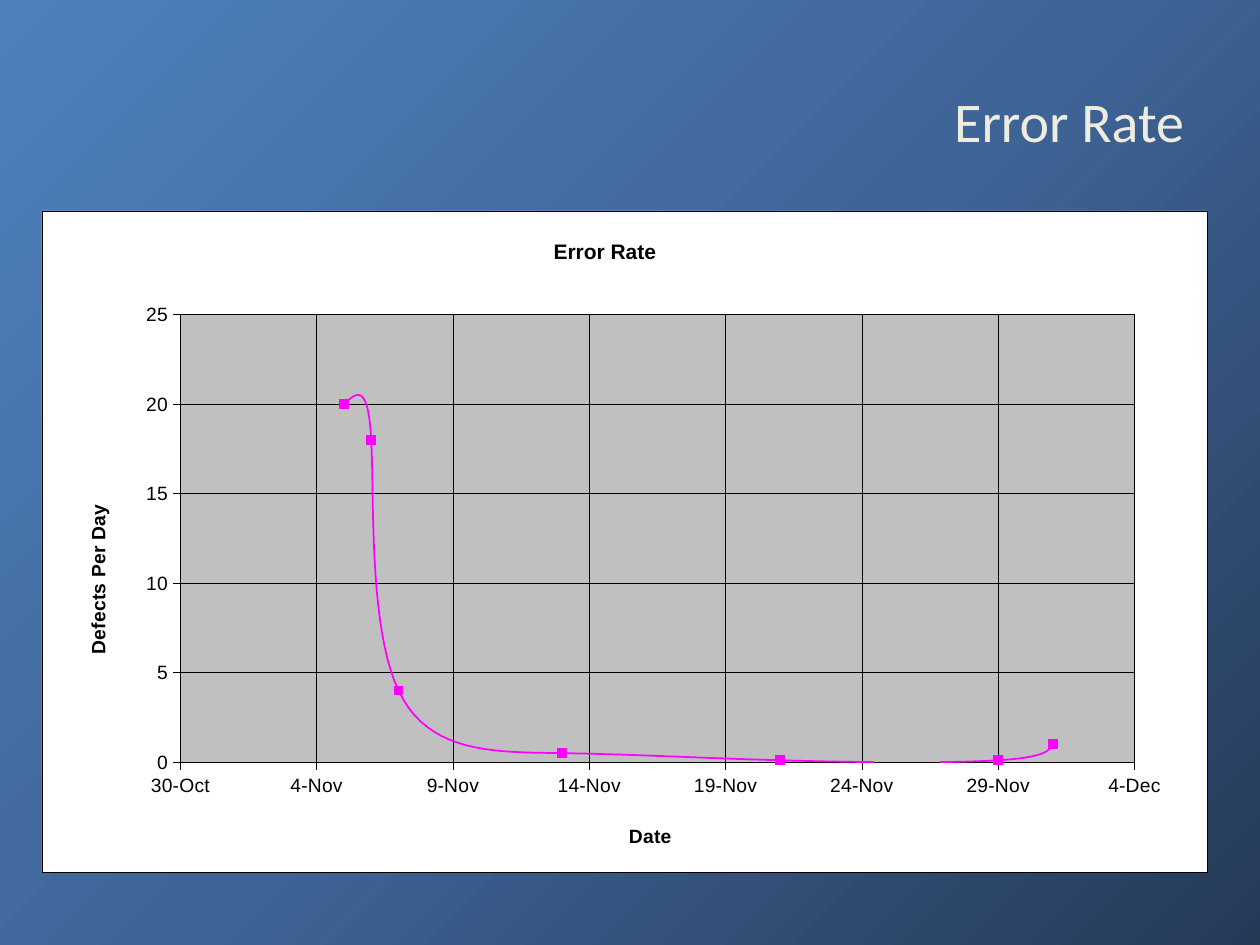
from copy import deepcopy
from dataclasses import dataclass

from lxml.etree import SubElement
from pptx import Presentation
from pptx.chart.data import XyChartData
from pptx.dml.color import RGBColor
from pptx.enum.chart import XL_CHART_TYPE as ChartType
from pptx.enum.chart import XL_MARKER_STYLE as MarkerStyle
from pptx.enum.chart import XL_TICK_LABEL_POSITION as LabelPosition
from pptx.enum.chart import XL_TICK_MARK as TickMark
from pptx.enum.text import MSO_ANCHOR as Anchor
from pptx.enum.text import PP_ALIGN as Align
from pptx.oxml import parse_xml
from pptx.oxml.ns import nsdecls, qn
from pptx.util import Inches, Pt

COLORS = {
    "title": "EEECE1",
    "ink": "000000",
    "paper": "FFFFFF",
    "plot": "C0C0C0",
    "series": "FF00FF",
}
BACKGROUND_STOPS = ((0, "4F81BD"), (0.5, "3F6598"), (1, "253A57"))
WIDTH, HEIGHT = Inches(10), Inches(7.5)
TITLE_BOX = (0.05, 0.044, 0.9, 0.167)
CHART_BOX = (0.033, 0.223, 0.925, 0.7)
PLOT_BOX = {"x": 0.119, "y": 0.157, "w": 0.819, "h": 0.677}
FIRST_DATE = 39020
DAY_OFFSETS = (6, 7, 8, 14, 22, 30, 32)
DEFECTS = (20, 18, 4, 0.5, 0.1, 0.1, 1)


@dataclass
class AxisStyle:
    title: str
    title_x: float
    title_y: float
    rotation: int
    low: float
    high: float
    number_format: str


DATE_AXIS = AxisStyle("Date", 0.501, 0.921, 0, FIRST_DATE, FIRST_DATE + 35, "d-mmm")
DEFECT_AXIS = AxisStyle("Defects Per Day", 0.034, 0.439, -90, 0, 25, "General")


def color(name: str) -> RGBColor:
    return RGBColor.from_string(COLORS[name])


def box(shares: tuple) -> list:
    return [round(share * side) for share, side in zip(shares, (WIDTH, HEIGHT) * 2)]


def write(frame, text: str, *, size: float, font="Arial", fill="ink", bold=False, align=None):
    frame.text = text
    paragraph = frame.paragraphs[0]
    paragraph.alignment = align
    style = paragraph.runs[0].font
    style.size, style.name, style.bold = Pt(size), font, bold
    style.color.rgb = color(fill)


def draw_line(line, name: str, width: float) -> None:
    line.color.rgb = color(name)
    line.width = Pt(width)


def manual_layout(parent, position: int, shares: dict, inner=False) -> None:
    for old in parent.findall(qn("c:layout")):
        parent.remove(old)
    layout = parse_xml(f"<c:layout {nsdecls('c')}><c:manualLayout/></c:layout>")
    settings = {"layoutTarget": "inner"} if inner else {}
    settings.update({"xMode": "edge", "yMode": "edge"}, **shares)
    for tag, value in settings.items():
        SubElement(layout[0], qn(f"c:{tag}")).set("val", str(value))
    parent.insert(position, layout)


def area_format(fill: str, border: str):
    return parse_xml(
        f"<c:spPr {nsdecls('c', 'a')}>"
        f'<a:solidFill><a:srgbClr val="{COLORS[fill]}"/></a:solidFill>'
        f'<a:ln w="{Pt(0.25)}"><a:solidFill><a:srgbClr val="{COLORS[border]}"/>'
        "</a:solidFill></a:ln></c:spPr>"
    )


def paint_background(slide) -> None:
    fill = slide.background.fill
    fill.gradient()
    fill.gradient_angle = 315
    stop_list = next(slide.element.iter(qn("a:gsLst")))
    stop_list.append(deepcopy(stop_list[-1]))
    for stop, (position, value) in zip(fill.gradient_stops, BACKGROUND_STOPS):
        stop.position = position
        stop.color.rgb = RGBColor.from_string(value)


def place_title(slide) -> None:
    title = slide.shapes.title
    title.left, title.top, title.width, title.height = box(TITLE_BOX)
    title.text_frame.vertical_anchor = Anchor.MIDDLE
    write(title.text_frame, "Error Rate", size=32, font="Calibri", fill="title", align=Align.RIGHT)


def format_axis(axis, style: AxisStyle) -> None:
    axis.minimum_scale, axis.maximum_scale = style.low, style.high
    axis.major_unit = 5
    axis.major_tick_mark, axis.minor_tick_mark = TickMark.CROSS, TickMark.NONE
    axis.tick_label_position = LabelPosition.NEXT_TO_AXIS
    axis.has_major_gridlines = True
    draw_line(axis.format.line, "ink", 0.25)
    draw_line(axis.major_gridlines.format.line, "ink", 0.25)
    labels = axis.tick_labels
    labels.number_format, labels.number_format_is_linked = style.number_format, False
    labels.font.size, labels.font.name = Pt(11), "Arial"
    labels.font.color.rgb = color("ink")
    frame = axis.axis_title.text_frame
    write(frame, style.title, size=11, bold=True)
    body = next(axis.axis_title._element.iter(qn("a:bodyPr")))
    body.set("rot", str(style.rotation * 60000))
    manual_layout(axis.axis_title._element, 1, {"x": style.title_x, "y": style.title_y})


def format_series(series) -> None:
    draw_line(series.format.line, "series", 1)
    series._element.find(qn("c:smooth")).set("val", "1")
    marker = series.marker
    marker.style, marker.size = MarkerStyle.SQUARE, 5
    marker.format.fill.solid()
    marker.format.fill.fore_color.rgb = color("series")
    draw_line(marker.format.line, "series", 0.75)


def add_error_chart(slide) -> None:
    data = XyChartData()
    points = data.add_series("Error Rate")
    for offset, defects in zip(DAY_OFFSETS, DEFECTS):
        points.add_data_point(FIRST_DATE + offset, defects)
    chart = slide.shapes.add_chart(ChartType.XY_SCATTER_SMOOTH, *box(CHART_BOX), data).chart
    chart.has_legend = False
    chart.font.size, chart.font.name = Pt(11), "Arial"
    chart.font.color.rgb = color("ink")
    write(chart.chart_title.text_frame, "Error Rate", size=12, bold=True)
    manual_layout(chart.chart_title._element, 1, {"x": 0.436, "y": 0.036})
    format_axis(chart.category_axis, DATE_AXIS)
    format_axis(chart.value_axis, DEFECT_AXIS)
    chart.plots[0].vary_by_categories = False
    format_series(chart.plots[0].series[0])
    chart_part = chart.element.find(qn("c:chart"))
    chart_part.addnext(area_format("paper", "ink"))
    plot_area = chart_part.find(qn("c:plotArea"))
    manual_layout(plot_area, 0, PLOT_BOX, inner=True)
    plot_area.append(area_format("plot", "ink"))


def main() -> None:
    presentation = Presentation()
    presentation.slide_width, presentation.slide_height = WIDTH, HEIGHT
    slide = presentation.slides.add_slide(presentation.slide_layouts[5])
    paint_background(slide)
    place_title(slide)
    add_error_chart(slide)
    presentation.save("out.pptx")


if __name__ == "__main__":
    main()
